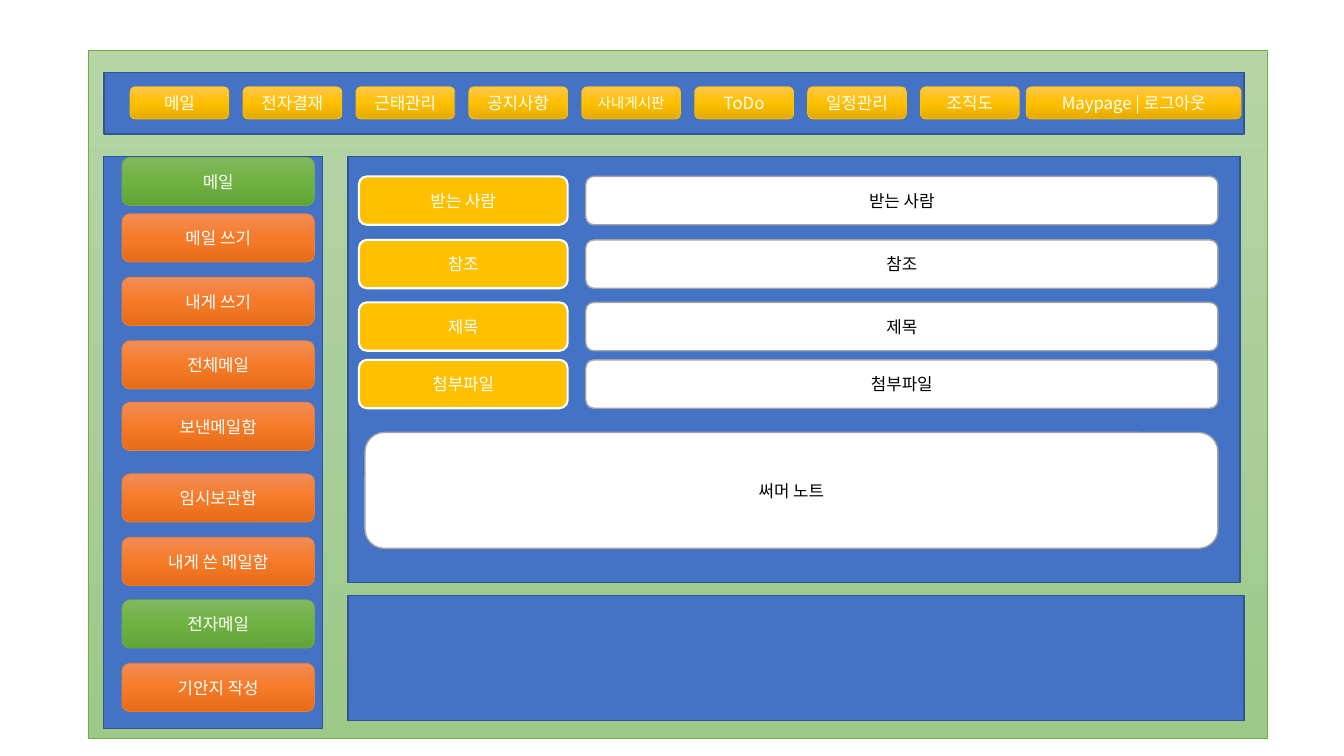
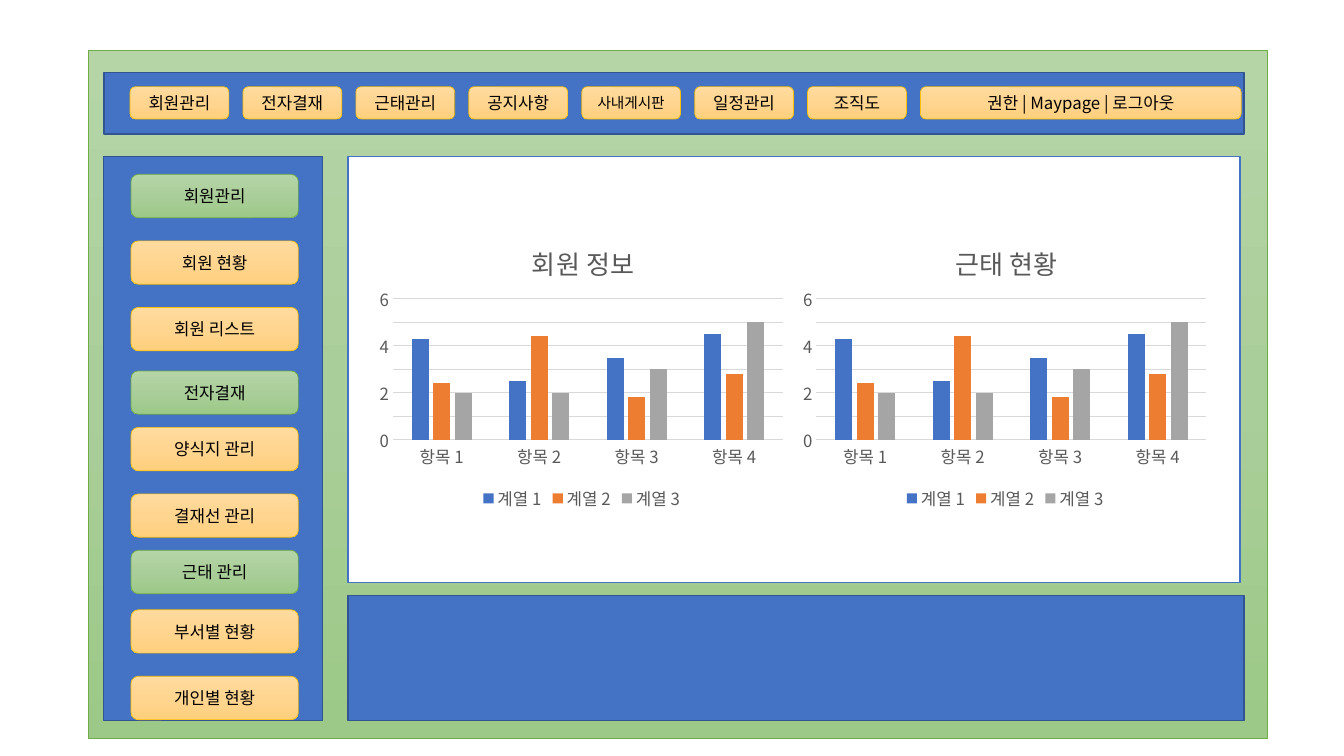
import copy
import dataclasses

import lxml.etree
import pptx
import pptx.chart.data
import pptx.dml.color
import pptx.enum.chart
import pptx.enum.shapes
import pptx.enum.text
import pptx.oxml.ns
import pptx.util

Inches = pptx.util.Inches
Pt = pptx.util.Pt
qn = pptx.oxml.ns.qn
RECTANGLE = pptx.enum.shapes.MSO_SHAPE.RECTANGLE
ROUNDED = pptx.enum.shapes.MSO_SHAPE.ROUNDED_RECTANGLE

FONT = "Noto Sans CJK KR"
COLORS = {
    "blue": "4472C4",
    "dark_blue": "325491",
    "green": "70AD47",
    "orange": "ED7D31",
    "gold": "FFC000",
    "gray": "A5A5A5",
    "grid": "D9D9D9",
    "chart_text": "595959",
    "white": "FFFFFF",
    "black": "000000",
}
GRADIENTS = {
    "pale_green": ("B5D5A7", "AACE9A", "9CC987"),
    "pale_gold": ("FFDB9E", "FFD590", "FFD07C"),
    "gold": ("FFC64B", "FFC000", "E3AB00"),
    "orange": ("F18C57", "F67B28", "E56C19"),
    "green": ("81B861", "6FB242", "62A336"),
}


@dataclasses.dataclass
class Box:
    left: float
    top: float
    width: float
    height: float

    def inside(self, dx, dy, width, height):
        return Box(self.left + dx, self.top + dy, width, height)

    def lengths(self):
        return [Inches(v) for v in (self.left, self.top, self.width, self.height)]


@dataclasses.dataclass
class Style:
    fill: object
    line: str
    line_width: float
    text: str = "white"


FRAME = Style(GRADIENTS["pale_green"], "green", 0.5)
PANEL = Style("blue", "dark_blue", 1)
CHART_PANEL = Style("white", "blue", 1)
GOLD = Style(GRADIENTS["gold"], "gold", 0.5)
ORANGE = Style(GRADIENTS["orange"], "orange", 0.5)
GREEN = Style(GRADIENTS["green"], "green", 0.5)
PALE_GOLD = Style(GRADIENTS["pale_gold"], "gold", 0.5, "black")
PALE_GREEN = Style(GRADIENTS["pale_green"], "green", 0.5, "black")
FIELD_LABEL = Style("gold", "white", 1.5)
FIELD = Style("white", "gray", 1, "black")

FRAME_BOX = Box(0.88, 0.5, 11.69, 6.83)
MENU_BOX = Box(1.03, 0.72, 11.31, 0.61)
CONTENT_BOX = Box(3.45, 1.55, 8.85, 4.23)
FOOTER_BOX = Box(3.45, 5.91, 8.89, 1.24)

MAIL_MENU = ["메일", "전자결재", "근태관리", "공지사항", "사내게시판", "ToDo",
             "일정관리", "조직도", "Maypage | 로그아웃"]
ADMIN_MENU = ["회원관리", "전자결재", "근태관리", "공지사항", "사내게시판",
              "일정관리", "조직도", "권한 | Maypage | 로그아웃"]

# Side buttons: label, style, distance from the top of the side bar
MAIL_SIDE = [
    ("메일", GREEN, 0.01),
    ("메일 쓰기", ORANGE, 0.57),
    ("내게 쓰기", ORANGE, 1.2),
    ("전체메일", ORANGE, 1.83),
    ("보낸메일함", ORANGE, 2.44),
    ("임시보관함", ORANGE, 3.15),
    ("내게 쓴 메일함", ORANGE, 3.78),
    ("전자메일", GREEN, 4.4),
    ("기안지 작성", ORANGE, 5.03),
]
ADMIN_SIDE = [
    ("회원관리", PALE_GREEN, 0.18),
    ("회원 현황", PALE_GOLD, 0.84),
    ("회원 리스트", PALE_GOLD, 1.5),
    ("전자결재", PALE_GREEN, 2.13),
    ("양식지 관리", PALE_GOLD, 2.69),
    ("결재선 관리", PALE_GOLD, 3.35),
    ("근태 관리", PALE_GREEN, 3.91),
    ("부서별 현황", PALE_GOLD, 4.5),
    ("개인별 현황", PALE_GOLD, 5.16),
]
FORM_ROWS = [("받는 사람", 0.2), ("참조", 0.83), ("제목", 1.45), ("첨부파일", 2.02)]

CATEGORIES = ["항목 1", "항목 2", "항목 3", "항목 4"]
SERIES = [
    ("계열 1", "blue", (4.3, 2.5, 3.5, 4.5)),
    ("계열 2", "orange", (2.4, 4.4, 1.8, 2.8)),
    ("계열 3", "gray", (2, 2, 3, 5)),
]


def rgb(name):
    return pptx.dml.color.RGBColor.from_string(COLORS.get(name, name))


def set_east_asian_font(element):
    """Give every run below the element the same font for Korean text."""
    for latin in list(element.iter(qn("a:latin"))):
        east_asian = copy.deepcopy(latin)
        east_asian.tag = qn("a:ea")
        latin.addnext(east_asian)


def set_font(font, size, color):
    font.name = FONT
    font.size = Pt(size)
    font.bold = False
    font.color.rgb = rgb(color)


def fill_gradient(shape, colors):
    """Fill from top to bottom with three evenly spaced colours."""
    shape.fill.gradient()
    shape.fill.gradient_angle = 270
    stop_list = shape._element.spPr.find(qn("a:gradFill")).find(qn("a:gsLst"))
    stop_list.insert(1, copy.deepcopy(stop_list[0]))
    for index, stop in enumerate(shape.fill.gradient_stops):
        stop.position = index / 2
        stop.color.rgb = rgb(colors[index])


def add_box(slide, box, style, text="", size=12, kind=RECTANGLE):
    shape = slide.shapes.add_shape(kind, *box.lengths())
    shape.shadow.inherit = False
    if isinstance(style.fill, tuple):
        fill_gradient(shape, style.fill)
    else:
        shape.fill.solid()
        shape.fill.fore_color.rgb = rgb(style.fill)
    shape.line.color.rgb = rgb(style.line)
    shape.line.width = Pt(style.line_width)
    if text:
        frame = shape.text_frame
        frame.vertical_anchor = pptx.enum.text.MSO_ANCHOR.MIDDLE
        paragraph = frame.paragraphs[0]
        paragraph.alignment = pptx.enum.text.PP_ALIGN.CENTER
        run = paragraph.add_run()
        run.text = text
        set_font(run.font, size, style.text)
        set_east_asian_font(run._r)


def add_button(slide, box, style, text, size=12):
    add_box(slide, box, style, text, size, ROUNDED)


def add_menu(slide, box, labels, style, last_shift=0):
    """Place equal buttons; the last one reaches the end of the bar."""
    add_box(slide, box, PANEL)
    for index, label in enumerate(labels):
        dx, width = 0.26 + 1.12 * index, 0.98
        if index == len(labels) - 1:
            dx += last_shift
            width = box.width - 0.03 - dx
        size = 10.5 if len(label) == 5 else 12
        add_button(slide, box.inside(dx, 0.14, width, 0.32), style, label, size)


def add_side_bar(slide, box, buttons, dx, width, height):
    add_box(slide, box, PANEL)
    for label, style, dy in buttons:
        add_button(slide, box.inside(dx, dy, width, height), style, label)


def add_mail_form(slide, box):
    add_box(slide, box, PANEL)
    for label, dy in FORM_ROWS:
        add_button(slide, box.inside(0.11, dy, 2.07, 0.48), FIELD_LABEL, label)
        add_button(slide, box.inside(2.36, dy, 6.27, 0.48), FIELD, label)
    add_button(slide, box.inside(0.17, 2.74, 8.46, 1.15), FIELD, "써머 노트")


def set_layout(parent, index, **values):
    """Fix the place of a chart part, in fractions of the chart."""
    for previous in parent.findall(qn("c:layout")):
        parent.remove(previous)
    layout = lxml.etree.Element(qn("c:layout"))
    manual = lxml.etree.SubElement(layout, qn("c:manualLayout"))
    for name, value in values.items():
        lxml.etree.SubElement(manual, qn("c:" + name)).set("val", str(value))
    parent.insert(index, layout)


def add_column_chart(slide, box, title):
    data = pptx.chart.data.CategoryChartData()
    data.categories = CATEGORIES
    for name, _, values in SERIES:
        data.add_series(name, values)
    chart_type = pptx.enum.chart.XL_CHART_TYPE.COLUMN_CLUSTERED
    chart = slide.shapes.add_chart(chart_type, *box.lengths(), data).chart
    set_font(chart.font, 12, "chart_text")

    chart.has_title = True
    run = chart.chart_title.text_frame.paragraphs[0].add_run()
    run.text = title
    set_font(run.font, 18.6, "chart_text")
    set_layout(chart.chart_title._element, 1, xMode="edge", yMode="edge", x=0.37, y=0.07)

    chart.has_legend = True
    chart.legend.position = pptx.enum.chart.XL_LEGEND_POSITION.BOTTOM
    chart.legend.include_in_layout = False

    plot = chart.plots[0]
    plot.gap_width = 219
    plot.overlap = -27
    plot.vary_by_categories = False
    for series, (_, color, _) in zip(plot.series, SERIES):
        series.format.fill.solid()
        series.format.fill.fore_color.rgb = rgb(color)

    value_axis, category_axis = chart.value_axis, chart.category_axis
    for axis in (value_axis, category_axis):
        axis.major_tick_mark = pptx.enum.chart.XL_TICK_MARK.NONE
        axis.minor_tick_mark = pptx.enum.chart.XL_TICK_MARK.NONE
    value_axis.minimum_scale, value_axis.maximum_scale = 0, 6
    value_axis.major_unit = 1
    value_axis.format.line.fill.background()
    for line in (value_axis.major_gridlines.format.line, category_axis.format.line):
        line.color.rgb = rgb("grid")
        line.width = Pt(0.75)

    plot_area = chart._chartSpace.find(qn("c:chart")).find(qn("c:plotArea"))
    set_layout(plot_area, 0, layoutTarget="inner", xMode="edge", yMode="edge",
               x=0.05, y=0.28, w=0.93, h=0.47)
    set_east_asian_font(chart._chartSpace)


def add_chart_panel(slide, box):
    add_box(slide, box, CHART_PANEL)
    for index, title in enumerate(["회원 정보", "근태 현황"]):
        add_column_chart(slide, box.inside(0.24 + 4.2 * index, 0.58, 4.16, 2.98), title)


def add_framed_slide(presentation):
    slide = presentation.slides.add_slide(presentation.slide_layouts[6])
    add_box(slide, FRAME_BOX, FRAME)
    add_box(slide, FOOTER_BOX, PANEL)
    return slide


def add_mail_slide(presentation):
    slide = add_framed_slide(presentation)
    add_mail_form(slide, CONTENT_BOX)
    add_menu(slide, MENU_BOX, MAIL_MENU, GOLD, last_shift=-0.07)
    add_side_bar(slide, Box(1.03, 1.55, 2.17, 5.68), MAIL_SIDE, 0.18, 1.91, 0.48)


def add_admin_slide(presentation):
    slide = add_framed_slide(presentation)
    add_chart_panel(slide, CONTENT_BOX)
    add_menu(slide, MENU_BOX, ADMIN_MENU, PALE_GOLD)
    add_side_bar(slide, Box(1.03, 1.55, 2.17, 5.6), ADMIN_SIDE, 0.27, 1.66, 0.43)


def main():
    presentation = pptx.Presentation()
    presentation.slide_width = Inches(13.33)
    presentation.slide_height = Inches(7.5)
    add_mail_slide(presentation)
    add_admin_slide(presentation)
    presentation.save("out.pptx")


if __name__ == "__main__":
    main()
